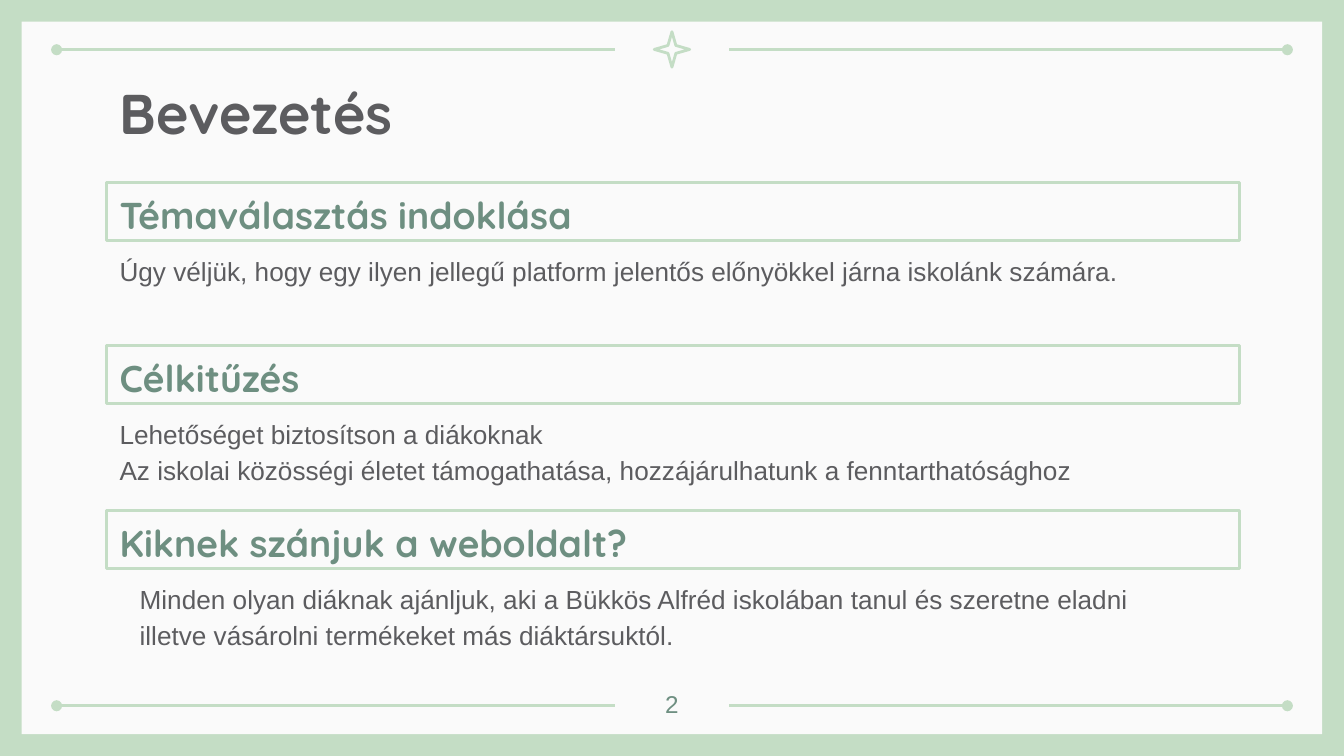
"""Build the introduction slide: three framed headings with their explanations."""
from lxml import etree
from pptx import Presentation
from pptx import util as u
from pptx.dml.color import RGBColor
from pptx.enum import shapes, text
from pptx.oxml.ns import qn

WIDTH, HEIGHT = 25.4, 14.29
LEFT, TEXT_WIDTH = 2.01, 21.41
HEADING_HEIGHT = 1.1
SECTIONS = [
    (3.45, "Témaválasztás indoklása", 0,
     ["Úgy véljük, hogy egy ilyen jellegű platform jelentős előnyökkel járna iskolánk számára."]),
    (6.53, "Célkitűzés", 0,
     ["Lehetőséget biztosítson a diákoknak",
      "Az iskolai közösségi életet támogathatása, hozzájárulhatunk a fenntarthatósághoz"]),
    (9.65, "Kiknek szánjuk a weboldalt?", 0.38,
     ["Minden olyan diáknak ajánljuk, aki a Bükkös Alfréd iskolában tanul és szeretne eladni",
      "illetve vásárolni termékeket más diáktársuktól."]),
]


def colour(code):
    return RGBColor.from_string(code)


class Deck:
    mint, paper, ink, sage = "C4DDC5", "FAFAFA", "5C5C5F", "6E8F81"
    display, body = "Quicksand", "Arial"
    stroke = u.Pt(1.5)

    def __init__(self, slide):
        self.slide = slide
        slide.background.fill.solid()
        slide.background.fill.fore_color.rgb = colour(self.mint)

    def outline(self, item):
        item.line.color.rgb = colour(self.mint)
        item.line.width = self.stroke
        line = item._element.spPr.find(qn("a:ln"))
        etree.SubElement(line, qn("a:round"))
        return line

    def shape(self, preset, left, top, width, height, fill=None):
        item = self.slide.shapes.add_shape(preset, *map(u.Cm, (left, top, width, height)))
        item.shadow.inherit = False
        if fill:
            item.fill.solid()
            item.fill.fore_color.rgb = colour(fill)
            item.line.fill.background()
        else:
            item.fill.background()
            self.outline(item)
        return item

    def rule(self, outer, inner, y):
        item = self.slide.shapes.add_connector(
            shapes.MSO_CONNECTOR.STRAIGHT, *map(u.Cm, (outer, y, inner, y)))
        etree.SubElement(self.outline(item), qn("a:headEnd"), type="oval")
        etree.SubElement(item._element.spPr, qn("a:effectLst"))

    def fill_text(self, item, lines, size, font, code, bold=False, spacing=1.0,
                  indent=0, align=text.PP_ALIGN.LEFT, anchor=text.MSO_ANCHOR.TOP):
        frame = item.text_frame
        frame.word_wrap = True
        frame.vertical_anchor = anchor
        frame.margin_left = frame.margin_right = u.Cm(0.25)
        frame.margin_top = frame.margin_bottom = u.Cm(0.25)
        for number, line in enumerate(lines):
            paragraph = frame.add_paragraph() if number else frame.paragraphs[0]
            paragraph.alignment = align
            paragraph.line_spacing = spacing
            if indent:
                paragraph._p.get_or_add_pPr().set("marL", str(u.Cm(indent)))
            run = paragraph.add_run()
            run.text = line
            run.font.size = u.Pt(size)
            run.font.name = font
            run.font.bold = bold
            run.font.color.rgb = colour(code)

    def label(self, left, top, width, height, lines, size, font, code, **options):
        item = self.slide.shapes.add_textbox(*map(u.Cm, (left, top, width, height)))
        self.fill_text(item, lines, size, font, code, **options)

    def heading(self, top, title):
        item = self.shape(shapes.MSO_SHAPE.RECTANGLE, LEFT, top, TEXT_WIDTH, HEADING_HEIGHT)
        self.fill_text(item, [title], 20, self.display, self.sage, bold=True,
                       spacing=1.15, anchor=text.MSO_ANCHOR.MIDDLE)


def main():
    presentation = Presentation()
    presentation.slide_width, presentation.slide_height = u.Cm(WIDTH), u.Cm(HEIGHT)
    deck = Deck(presentation.slides.add_slide(presentation.slide_layouts[6]))

    border = 0.41
    deck.shape(shapes.MSO_SHAPE.RECTANGLE, border, border,
               WIDTH - 2 * border, HEIGHT - 2 * border, deck.paper)
    for y in (0.94, HEIGHT - 0.95):
        deck.rule(1.07, 11.63, y)
        deck.rule(WIDTH - 1.07, WIDTH - 11.63, y)
    star_size = 0.67
    star = deck.shape(shapes.MSO_SHAPE.STAR_4_POINT, (WIDTH - star_size) / 2, 0.6,
                      star_size, star_size)
    star.adjustments[0] = 0.157

    deck.label(LEFT, 1.24, TEXT_WIDTH, 1.6, ["Bevezetés"], 30, deck.display, deck.ink, bold=True)
    for top, title, indent, lines in SECTIONS:
        deck.label(LEFT, top + 1.04, TEXT_WIDTH, 1.47, lines, 14, deck.body, deck.ink,
                   spacing=1.15, indent=indent)
        deck.heading(top, title)
    deck.label(11.94, 12.78, 1.52, 0.91, ["2"], 13, deck.body, deck.sage,
               align=text.PP_ALIGN.CENTER)
    presentation.save("out.pptx")


if __name__ == "__main__":
    main()
